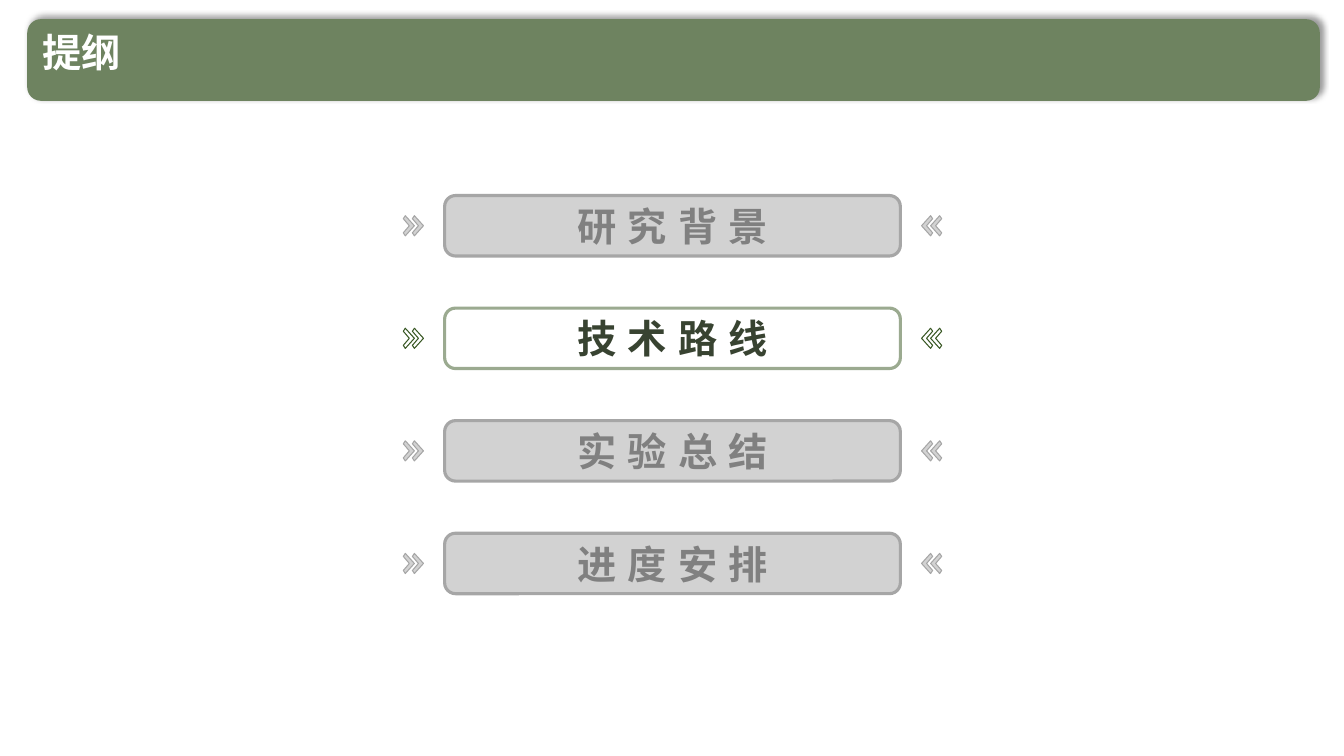
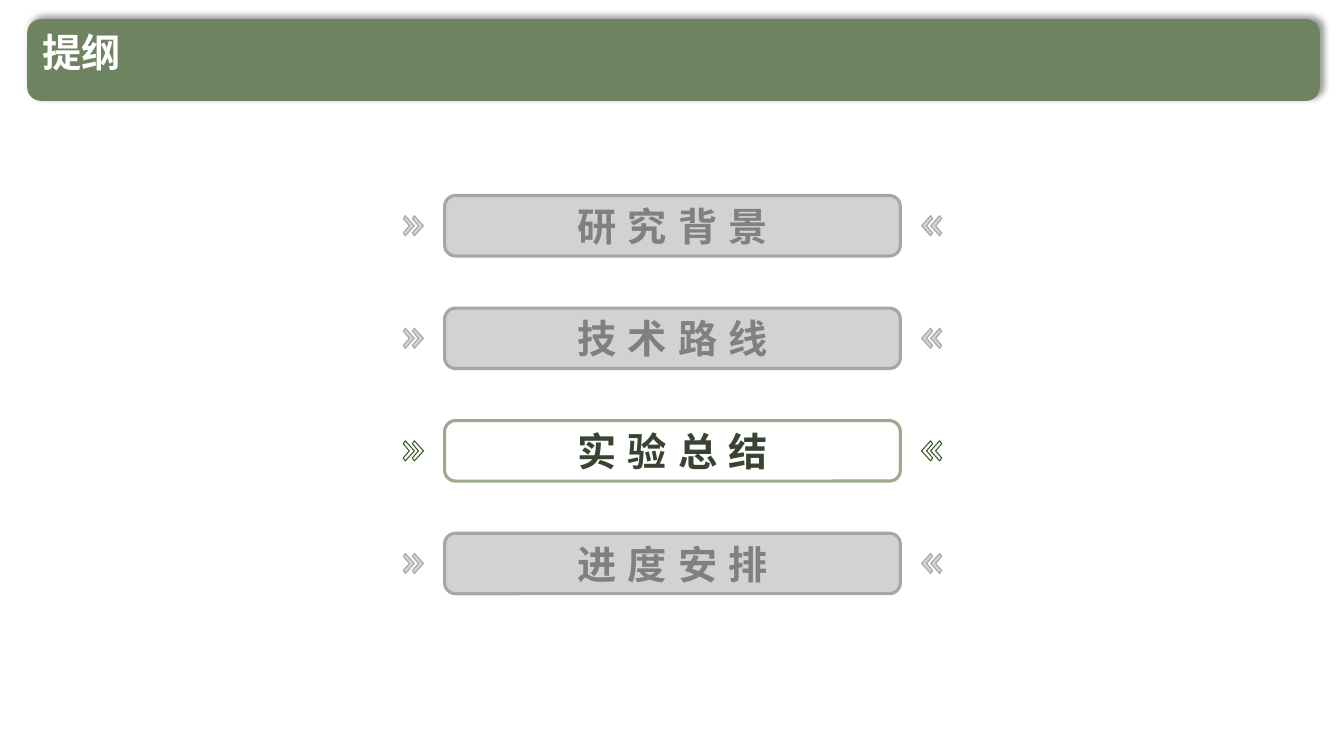
"""Build two outline slides, each highlighting one section of the talk."""
from lxml.etree import SubElement
from pptx import Presentation
from pptx.dml.color import RGBColor
from pptx.enum.shapes import MSO_SHAPE
from pptx.enum.text import MSO_ANCHOR, PP_ALIGN
from pptx.oxml.ns import qn
from pptx.util import Inches, Pt

COLORS = {
    "band": "6E8360",
    "title": "FFFFFF",
    "shadow": "000000",
    "muted": "A6A6A6",
    "muted_text": "808080",
    "active_line": "9BAA90",
    "active_chevron": "385723",
    "active_text": "384331",
}
FONT = "Noto Sans CJK SC"
SECTIONS = ["研究背景", "技术路线", "实验总结", "进度安排"]
CENTER_X = 6.67
BOX_WIDTH, BOX_HEIGHT = 4.52, 0.6
FIRST_TOP, LAST_TOP = 1.94, 5.29
CHEVRON_LEFTS = [4, 4.09]
CHEVRON_POINTS = [(0.02, -0.1), (0, -0.07), (0.06, 0), (0, 0.07), (0.02, 0.1), (0.11, 0)]


def rgb(name):
    """Return the named palette colour."""
    return RGBColor.from_string(COLORS[name])


def add_text(paragraph, text, color="title", spacing=0):
    """Append a bold run in the shared font, with letter spacing in points."""
    run = paragraph.add_run()
    run.text = text
    font = run.font
    font.size = Pt(28)
    font.bold = True
    font.name = FONT
    font.color.rgb = rgb(color)
    properties = run._r.get_or_add_rPr()
    properties.set("spc", str(spacing * 100))
    SubElement(properties, qn("a:ea"), typeface=FONT)


def style_shape(shape, line, width, filled):
    """Set the outline and either a half-transparent fill or none."""
    shape.shadow.inherit = False
    shape.line.color.rgb = rgb(line)
    shape.line.width = Pt(width)
    if filled:
        shape.fill.solid()
        shape.fill.fore_color.rgb = rgb("muted")
        fill_color = shape._element.spPr.find(qn("a:solidFill")).find(qn("a:srgbClr"))
        SubElement(fill_color, qn("a:alpha"), val="50000")
    else:
        shape.fill.background()


def add_title_band(slide, title):
    """Draw the shadowed green band and its title."""
    band = slide.shapes.add_shape(
        MSO_SHAPE.ROUNDED_RECTANGLE, Inches(0.27), Inches(0.19), Inches(12.82), Inches(0.81))
    band.fill.solid()
    band.fill.fore_color.rgb = rgb("band")
    band.line.fill.background()
    band.shadow.inherit = False
    effects = band._element.spPr.find(qn("a:effectLst"))
    shadow = SubElement(effects, qn("a:outerShdw"), blurRad=str(Pt(4)), dist=str(Pt(3)),
                        dir=str(315 * 60000), algn="bl", rotWithShape="0")
    shadow_color = SubElement(shadow, qn("a:srgbClr"), val=COLORS["shadow"])
    SubElement(shadow_color, qn("a:alpha"), val="40000")

    text_box = slide.shapes.add_textbox(Inches(0.32), Inches(0.28), Inches(11.07), Inches(0.62))
    text_box.text_frame.word_wrap = True
    paragraph = text_box.text_frame.paragraphs[0]
    paragraph.line_spacing = 0.9
    add_text(paragraph, title)


def add_chevron(slide, left, middle, mirrored, active):
    """Draw one chevron, optionally mirrored about the slide centre."""
    points = []
    for offset_x, offset_y in CHEVRON_POINTS:
        x = left + offset_x
        if mirrored:
            x = 2 * CENTER_X - x
        points.append((Inches(x), Inches(middle + offset_y)))
    builder = slide.shapes.build_freeform(*points[0])
    builder.add_line_segments(points[1:], close=True)
    style_shape(builder.convert_to_shape(), "active_chevron" if active else "muted",
                0.75, filled=not active)


def add_section(slide, top, name, active):
    """Draw a section box with a pair of chevrons on each side."""
    for mirrored in (False, True):
        for left in CHEVRON_LEFTS:
            add_chevron(slide, left, top + BOX_HEIGHT / 2, mirrored, active)
    box = slide.shapes.add_shape(
        MSO_SHAPE.ROUNDED_RECTANGLE, Inches(CENTER_X - BOX_WIDTH / 2), Inches(top),
        Inches(BOX_WIDTH), Inches(BOX_HEIGHT))
    box.adjustments[0] = 0.18
    style_shape(box, "active_line" if active else "muted", 2.25, filled=not active)
    box.text_frame.vertical_anchor = MSO_ANCHOR.MIDDLE
    paragraph = box.text_frame.paragraphs[0]
    paragraph.alignment = PP_ALIGN.CENTER
    color = "active_text" if active else "muted_text"
    add_text(paragraph, name[:-1], color=color, spacing=8)
    add_text(paragraph, name[-1], color=color)


def add_outline_slide(presentation, current):
    """Add an outline slide that highlights the current section."""
    slide = presentation.slides.add_slide(presentation.slide_layouts[6])
    add_title_band(slide, "提纲")
    pitch = (LAST_TOP - FIRST_TOP) / (len(SECTIONS) - 1)
    for index, name in enumerate(SECTIONS):
        add_section(slide, FIRST_TOP + index * pitch, name, name == current)


def main():
    """Build and save the presentation."""
    presentation = Presentation()
    presentation.slide_width = Inches(13.33)
    presentation.slide_height = Inches(7.5)
    for current in ("技术路线", "实验总结"):
        add_outline_slide(presentation, current)
    presentation.save("out.pptx")


if __name__ == "__main__":
    main()
